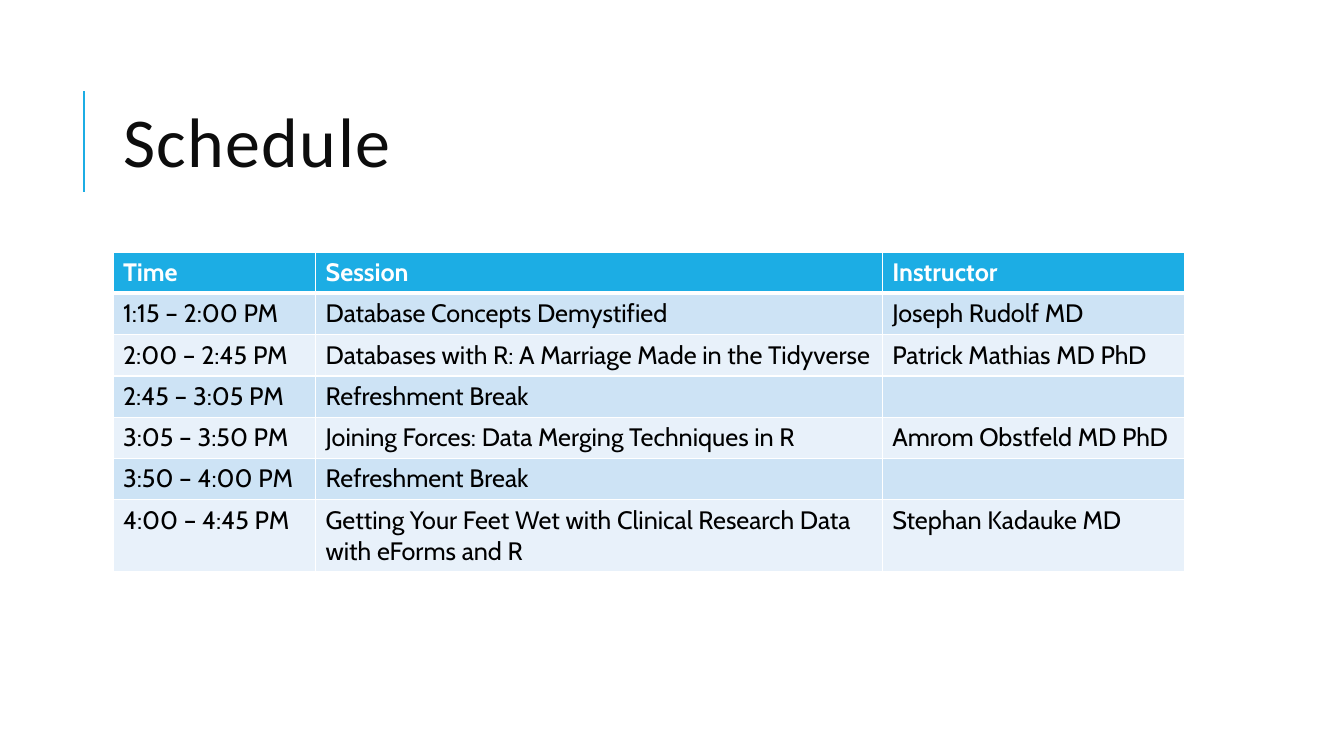
import pptx
import pptx.util
import pptx.dml.color
import pptx.enum.shapes
import pptx.enum.text
import pptx.oxml
import pptx.oxml.ns
from lxml import etree

Inches = pptx.util.Inches
Pt = pptx.util.Pt
COLORS = {"ink": "0D0D0D", "text": "000000", "white": "FFFFFF",
          "blue": "1CADE4", "dark": "CDE3F5", "light": "E8F1FA"}
ROWS = [
    ("Time", "Session", "Instructor"),
    ("1:15 – 2:00 PM", "Database Concepts Demystified", "Joseph Rudolf MD"),
    ("2:00 – 2:45 PM", "Databases with R: A Marriage Made in the Tidyverse",
     "Patrick Mathias MD PhD"),
    ("2:45 – 3:05 PM", "Refreshment Break", ""),
    ("3:05 – 3:50 PM", "Joining Forces: Data Merging Techniques in R",
     "Amrom Obstfeld MD PhD"),
    ("3:50 – 4:00 PM", "Refreshment Break", ""),
    ("4:00 – 4:45 PM",
     "Getting Your Feet Wet with Clinical Research Data with eForms and R",
     "Stephan Kadauke MD"),
]


class Deck:
    """Hold the style and the current slide, and draw its elements."""

    def __init__(self, slide):
        self.slide = slide
        self.head = "Calibri"
        self.body = "Cabin"

    def color(self, name):
        return pptx.dml.color.RGBColor.from_string(COLORS[name])

    def run(self, para, text, font, size, color, bold=False):
        run = para.add_run()
        run.text = text
        run.font.name = font
        run.font.size = Pt(size)
        run.font.bold = bold
        run.font.color.rgb = self.color(color)
        return run

    def rule(self, x, top, end):
        line = self.slide.shapes.add_connector(
            pptx.enum.shapes.MSO_CONNECTOR.STRAIGHT,
            Inches(x), Inches(end), Inches(x), Inches(top))
        line.line.color.rgb = self.color("blue")
        line.line.width = Pt(1.5)
        etree.SubElement(line.element.spPr, pptx.oxml.ns.qn("a:effectLst"))

    def title(self, text, left, top, width, height):
        box = self.slide.shapes.title
        box.left, box.top = Inches(left), Inches(top)
        box.width, box.height = Inches(width), Inches(height)
        frame = box.text_frame
        frame.word_wrap = True
        frame.auto_size = pptx.enum.text.MSO_AUTO_SIZE.NONE
        frame.vertical_anchor = pptx.enum.text.MSO_ANCHOR.MIDDLE
        para = frame.paragraphs[0]
        para.alignment = pptx.enum.text.PP_ALIGN.LEFT
        para.line_spacing = 0.8
        run = self.run(para, text, self.head, 50, "ink")
        run.font._element.set("spc", "100")

    def border(self, cell, side, width):
        props = cell._tc.get_or_add_tcPr()
        line = etree.SubElement(props, pptx.oxml.ns.qn("a:ln" + side),
                                w=str(Pt(width)))
        fill = etree.SubElement(line, pptx.oxml.ns.qn("a:solidFill"))
        etree.SubElement(fill, pptx.oxml.ns.qn("a:srgbClr"),
                         val=COLORS["white"])

    def cell(self, cell, text, row):
        for side in "LRTB":
            thick = (row == 0 and side == "B") or (row == 1 and side == "T")
            self.border(cell, side, 3 if thick else 1)
        shade = "blue" if row == 0 else "dark" if row % 2 else "light"
        cell.fill.solid()
        cell.fill.fore_color.rgb = self.color(shade)
        para = cell.text_frame.paragraphs[0]
        if text:
            self.run(para, text, self.body, 18,
                     "text" if row else "white", row == 0)
        else:
            para.font.size = Pt(18)

    def table(self, rows, left, top, widths, height):
        table = self.slide.shapes.add_table(
            len(rows), len(widths), Inches(left), Inches(top),
            Inches(sum(widths)), Inches(height * len(rows))).table
        for col, width in zip(table.columns, widths):
            col.width = Inches(width)
        for i, texts in enumerate(rows):
            table.rows[i].height = Inches(height)
            for j, text in enumerate(texts):
                self.cell(table.cell(i, j), text, i)


def main():
    show = pptx.Presentation()
    show.slide_width, show.slide_height = Inches(13.33), Inches(7.5)
    deck = Deck(show.slides.add_slide(show.slide_layouts[5]))
    deck.rule(0.83, 0.9, 1.9)
    deck.title("Schedule", 1.12, 0.64, 10.63, 1.64)
    deck.table(ROWS, 1.12, 2.5, (2.01, 5.62, 3), 0.41)
    show.save("out.pptx")


if __name__ == "__main__":
    main()
